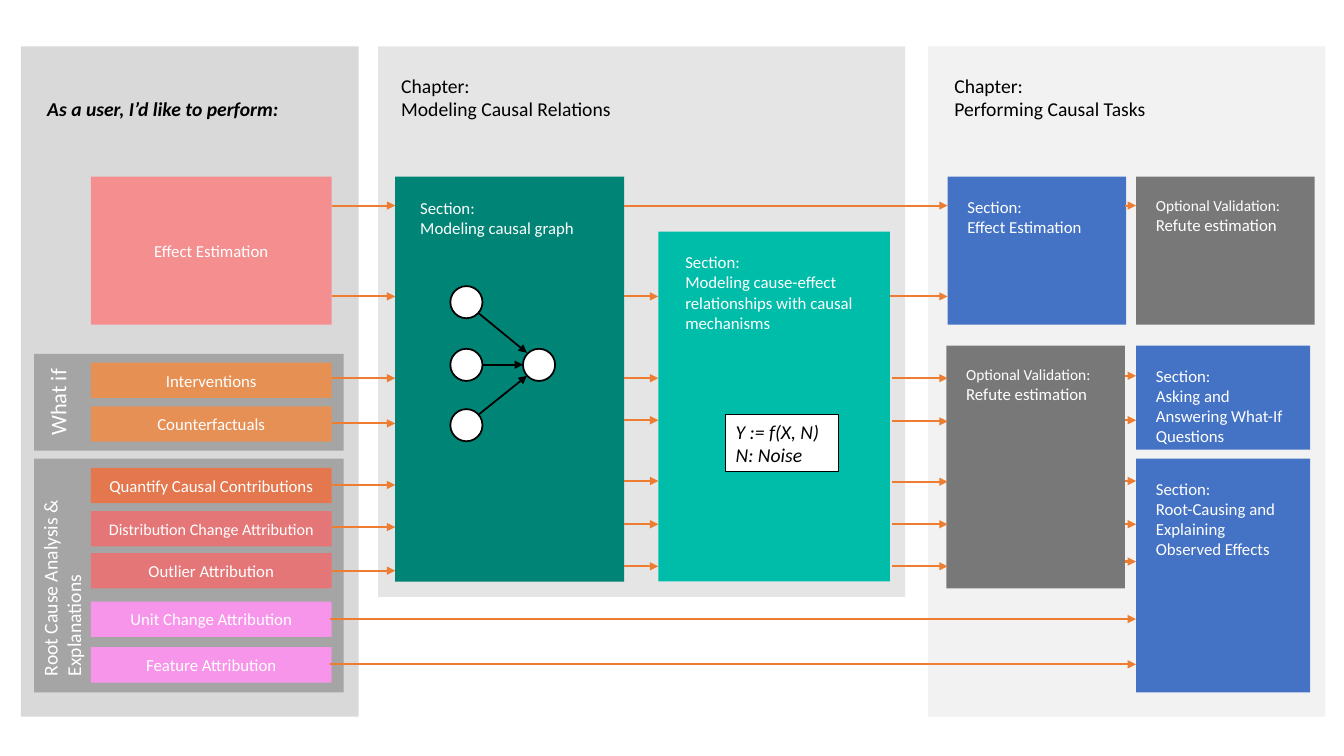
from dataclasses import dataclass

from lxml import etree
from pptx import Presentation
from pptx.dml.color import RGBColor
from pptx.enum.shapes import MSO_CONNECTOR, MSO_SHAPE
from pptx.enum.text import MSO_ANCHOR, MSO_AUTO_SIZE, PP_ALIGN
from pptx.oxml.ns import qn
from pptx.util import Cm, Pt

RECT, OVAL = MSO_SHAPE.RECTANGLE, MSO_SHAPE.OVAL
STRAIGHT = MSO_CONNECTOR.STRAIGHT
TOP, MIDDLE = MSO_ANCHOR.TOP, MSO_ANCHOR.MIDDLE
LEFT, CENTER = PP_ALIGN.LEFT, PP_ALIGN.CENTER
FIXED = MSO_AUTO_SIZE.NONE

FONT = "Calibri"
BLACK, WHITE, BLUE, ORANGE = "000000", "FFFFFF", "4472C4", "ED7D31"
PAD = (0.25, 0.13, 0.25, 0.13)
WIDE_PAD = (0.5,) * 4


@dataclass
class Box:
    x: float
    y: float
    w: float
    h: float
    fill: str
    alpha: int = 100


@dataclass
class Task:
    label: str
    y: float
    fill: str
    h: float = 0.89
    size: float = 12


@dataclass
class Section:
    box: Box
    text: str
    sizes: tuple = (12, 12)


@dataclass
class Flow:
    start: float
    end: float
    rows: tuple


def paint(target, color: str) -> None:
    target.rgb = RGBColor.from_string(color)


def write(shape, text: str, sizes: tuple = (12,), color: str = WHITE,
          bold: bool = False, italic: bool = False, align=LEFT, anchor=TOP,
          pad: tuple = PAD, wrap: bool = True, turned: bool = False) -> None:
    """Fill a shape with one paragraph per line; the last size carries on."""
    frame = shape.text_frame
    frame.text = text
    frame.auto_size = FIXED
    frame.word_wrap, frame.vertical_anchor = wrap, anchor
    (frame.margin_left, frame.margin_top,
     frame.margin_right, frame.margin_bottom) = map(Cm, pad)
    if turned:
        frame._txBody.bodyPr.set("vert", "vert270")
    for i, para in enumerate(frame.paragraphs):
        para.alignment = align
        font = para.runs[0].font
        font.name, font.size = FONT, Pt(sizes[min(i, len(sizes) - 1)])
        font.bold, font.italic = bold, italic
        paint(font.color, color)


def draw(slide, box: Box, kind=RECT, line: float = 0):
    shape = slide.shapes.add_shape(
        kind, Cm(box.x), Cm(box.y), Cm(box.w), Cm(box.h))
    shape.shadow.inherit = False
    shape.fill.solid()
    paint(shape.fill.fore_color, box.fill)
    if box.alpha < 100:
        tint = shape._element.spPr.find(".//" + qn("a:srgbClr"))
        etree.SubElement(tint, qn("a:alpha"), val=str(box.alpha * 1000))
    if line:
        shape.line.width = Pt(line)
        paint(shape.line.color, BLACK)
    else:
        shape.line.fill.background()
    return shape


def label(slide, x: float, y: float, w: float, h: float, text: str, **style):
    area = slide.shapes.add_textbox(Cm(x), Cm(y), Cm(w), Cm(h))
    write(area, text, **style)


def arrow(slide, x1: float, y1: float, x2: float, y2: float,
          color: str = ORANGE, width: float = 1.5) -> None:
    link = slide.shapes.add_connector(
        STRAIGHT, Cm(x1), Cm(y1), Cm(x2), Cm(y2))
    link.line.width = Pt(width)
    paint(link.line.color, color)
    etree.SubElement(link.line._get_or_add_ln(), qn("a:tailEnd"),
                     type="triangle")
    etree.SubElement(link._element.spPr, qn("a:effectLst"))


PANELS = (
    Box(0.53, 1.17, 8.51, 16.89, "D9D9D9"),
    Box(9.53, 1.17, 13.28, 13.87, "E5E5E5"),
    Box(23.39, 1.17, 10.01, 16.89, "F2F2F2"),
    Box(9.96, 4.45, 5.77, 10.21, "008476"),
    Box(16.59, 5.84, 5.84, 8.81, "00BDAA"),
)
TASKS = (
    Task("Effect Estimation", 4.45, "F48E8F", h=3.73),
    Task("Interventions", 9.14, "E69054"),
    Task("Counterfactuals", 10.24, "E79056"),
    Task("Quantify Causal Contributions", 11.79, "E4774D"),
    Task("Distribution Change Attribution", 12.88, "E57677", size=11.5),
    Task("Outlier Attribution", 13.94, "E57677"),
    Task("Unit Change Attribution", 15.16, "F795EA"),
    Task("Feature Attribution", 16.31, "F795EA"),
)
CHECK = "Optional Validation:\nRefute estimation"
SECTIONS = (
    Section(Box(23.88, 4.45, 4.5, 3.73, BLUE), "Section:\nEffect Estimation"),
    Section(Box(28.63, 4.45, 4.5, 3.73, BLACK, 50), CHECK, (11, 12)),
    Section(Box(23.85, 8.71, 4.5, 6.12, BLACK, 50), CHECK, (11, 12)),
    Section(Box(28.63, 8.71, 4.39, 2.62, BLUE),
            "Section:\nAsking and Answering What-If Questions"),
    Section(Box(28.63, 11.56, 4.39, 5.89, BLUE),
            "Section:\nRoot-Causing and Explaining Observed Effects"),
)
FLOWS = (
    Flow(8.36, 9.96, (5.18, 7.47, 9.53, 10.67, 12.22, 13.28, 14.38)),
    Flow(15.72, 16.59, (7.47, 9.53, 10.59, 12.12, 13.21, 14.27)),
    Flow(15.72, 23.88, (5.18,)),
    Flow(22.43, 23.88, (7.47,)),
    Flow(22.48, 23.88, (9.53, 10.62, 12.14, 13.21, 14.27)),
    Flow(28.35, 28.63, (5.18, 9.47, 10.59, 12.12, 13.21, 14.15)),
    Flow(8.32, 28.63, (15.6, 16.74)),
)
NODES = ((11.35, 7.21), (11.35, 8.79), (11.35, 10.31), (13.18, 8.79))
EDGES = ((12.07, 7.9, 13.28, 8.89), (12.17, 9.19, 13.18, 9.19),
         (12.07, 10.44, 13.28, 9.47))


def main() -> None:
    deck = Presentation()
    deck.slide_width, deck.slide_height = Cm(33.87), Cm(19.05)
    slide = deck.slides.add_slide(deck.slide_layouts[5])

    # Panels, then the title in front of them
    for panel in PANELS:
        draw(slide, panel)
    title = slide.shapes.title
    title.left, title.top, title.width, title.height = map(
        Cm, (0.94, 2.31, 6.71, 0.86))
    write(title, "As a user, I’d like to perform:", sizes=(14,), color=BLACK,
          bold=True, italic=True, wrap=False)
    slide.shapes._spTree.append(title._element)

    # Chapter and section headings
    for x, w, name in ((9.86, 6.45, "Modeling Causal Relations"),
                       (23.8, 6.05, "Performing Causal Tasks")):
        label(slide, x, 1.73, w, 1.45, "Chapter:\n" + name, sizes=(14,),
              color=BLACK, wrap=False)
    label(slide, 10.34, 4.85, 4.85, 1.8, "Section:\nModeling causal graph")
    label(slide, 17.02, 6.22, 6.43, 2.31, "Section:\nModeling cause-effect "
          "relationships with causal mechanisms")

    # User tasks and their groups
    what = draw(slide, Box(0.86, 8.92, 7.8, 2.44, BLACK, 24))
    write(what, "What if", sizes=(16,), align=CENTER, turned=True)
    root = draw(slide, Box(0.86, 11.56, 7.8, 5.89, BLACK, 24))
    write(root, "Root Cause Analysis &\nExplanations", sizes=(14,),
          pad=(0.1, 0.13, 0.25, 0.41), turned=True)
    for task in TASKS:
        bar = draw(slide, Box(2.29, task.y, 6.07, task.h, task.fill))
        write(bar, task.label, sizes=(task.size,), align=CENTER,
              anchor=MIDDLE)

    # Causal graph and formula
    for x, y in NODES:
        draw(slide, Box(x, y, 0.81, 0.81, WHITE), OVAL, line=1.25)
    for edge in EDGES:
        arrow(slide, *edge, color=BLACK, width=1.25)
    rule = draw(slide, Box(18.29, 10.44, 2.84, 1.45, WHITE), line=0.75)
    write(rule, "Y := f(X, N)\nN: Noise", sizes=(14,), color=BLACK,
          italic=True, wrap=False)

    # Causal task sections
    for part in SECTIONS:
        write(draw(slide, part.box), part.text, sizes=part.sizes,
              pad=WIDE_PAD)

    # Flow arrows
    for flow in FLOWS:
        for y in flow.rows:
            arrow(slide, flow.start, y, flow.end, y)

    deck.save("out.pptx")


if __name__ == "__main__":
    main()
